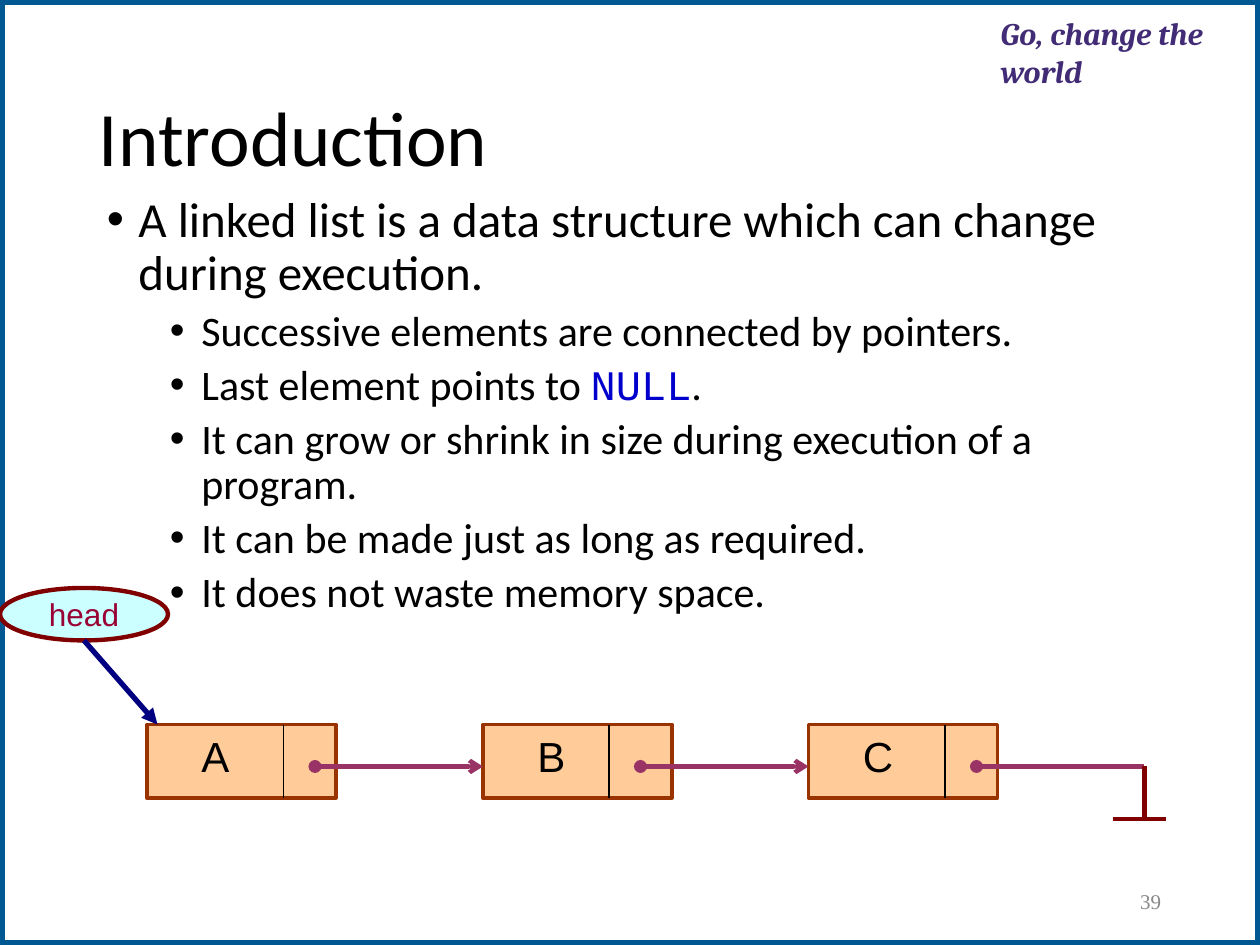
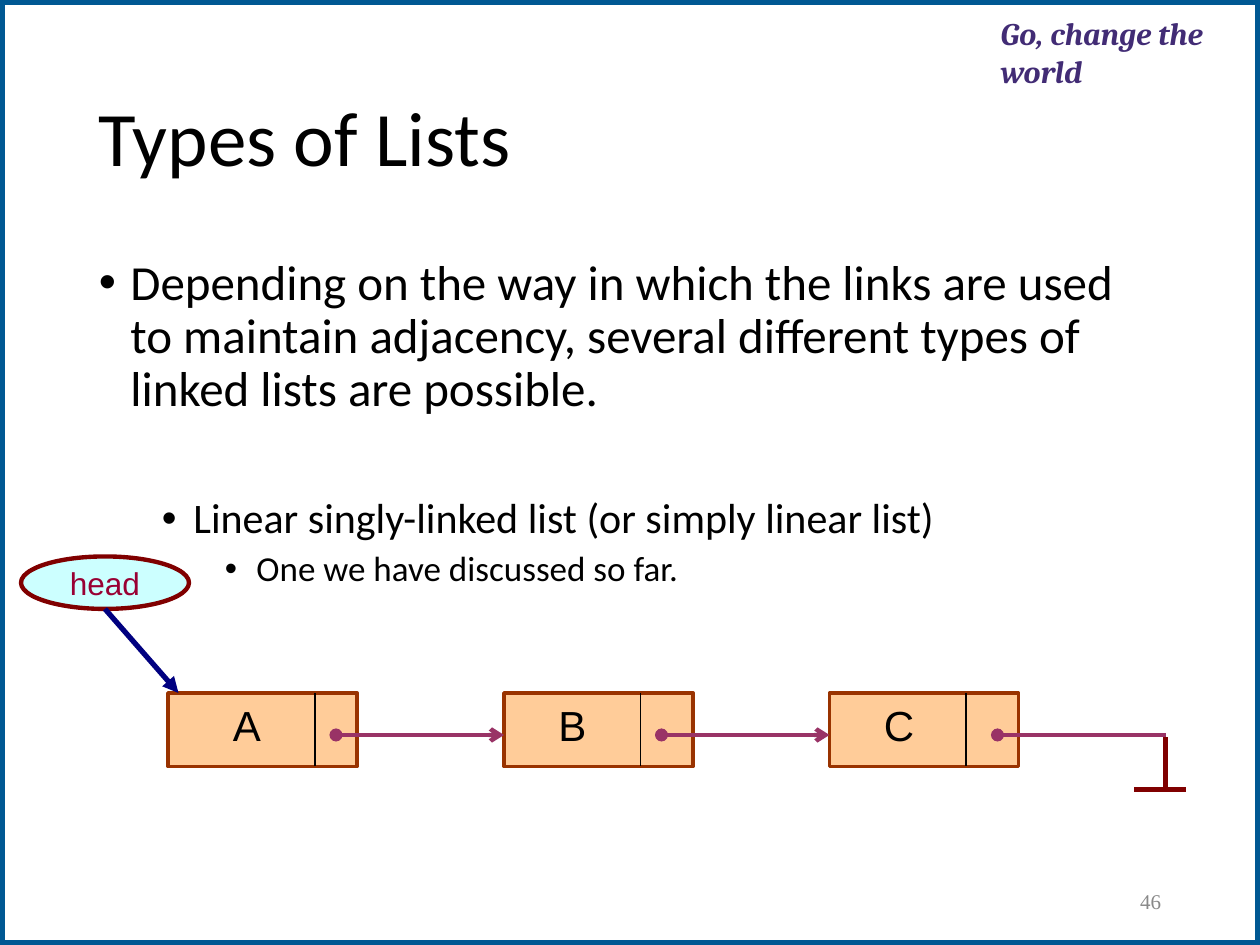
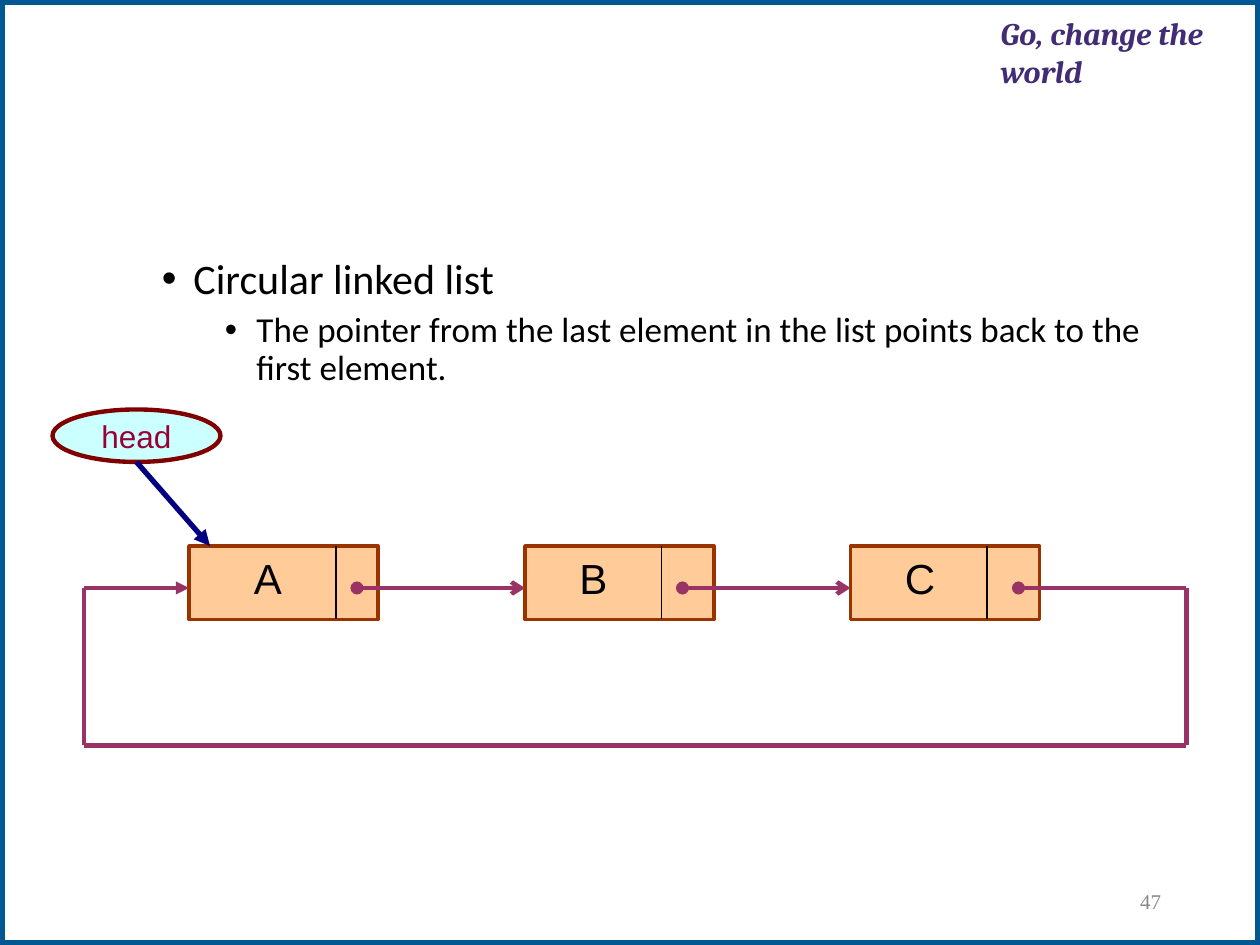
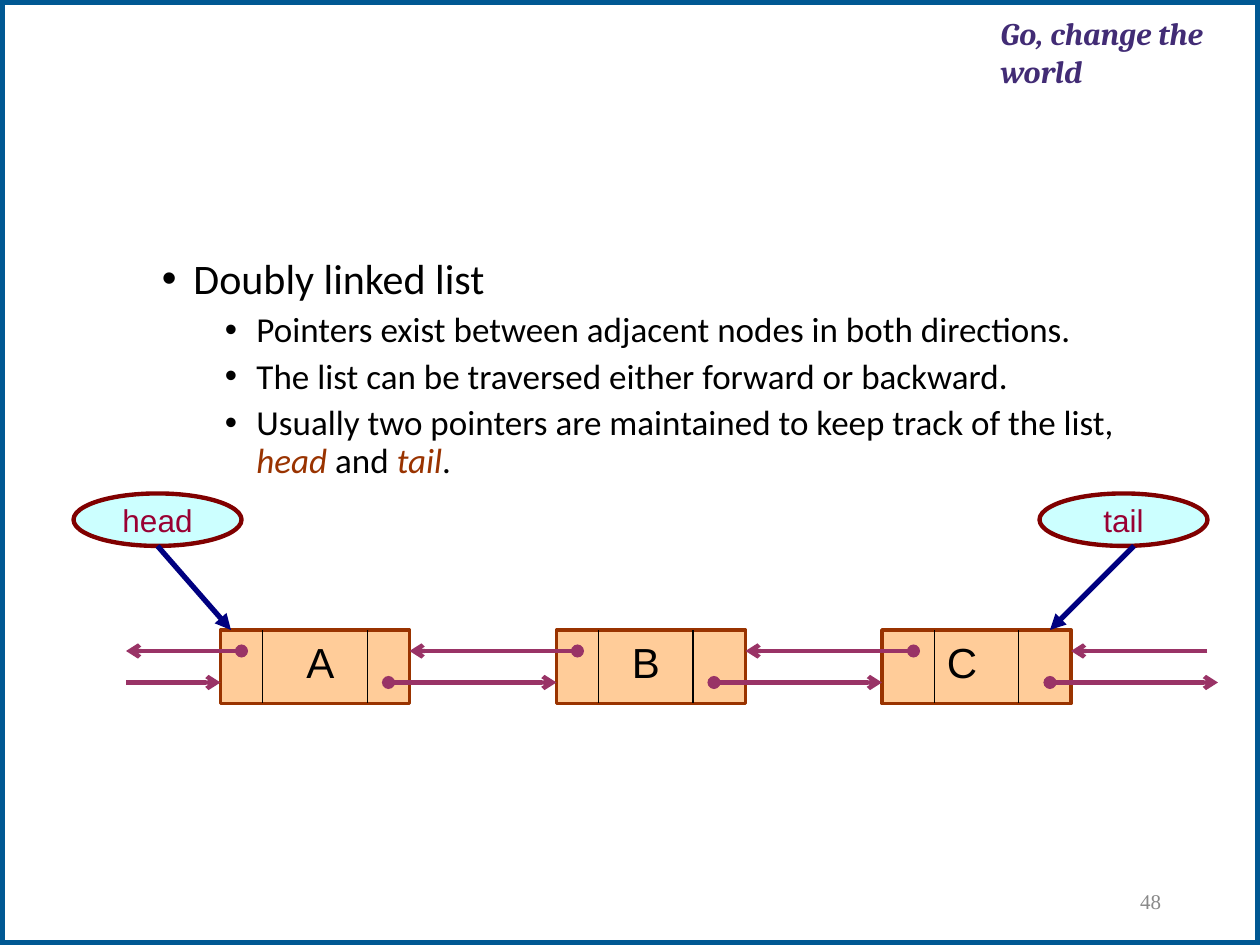
"""Build four slides on linked lists and their types."""
import pptx
import pptx.dml.color
import pptx.enum.shapes
import pptx.enum.text
import pptx.util
import lxml.etree
from pptx.oxml.ns import qn

RGB = pptx.dml.color.RGBColor
SHAPE = pptx.enum.shapes.MSO_SHAPE
ALIGN = pptx.enum.text.PP_ALIGN
ANCHOR = pptx.enum.text.MSO_ANCHOR
Pt = pptx.util.Pt

WHITE = RGB(0xFF, 0xFF, 0xFF)
BLACK = RGB(0x00, 0x00, 0x00)
FRAME = RGB(0x00, 0x58, 0x93)
TAGLINE = RGB(0x42, 0x2C, 0x75)
GREY = RGB(0x89, 0x89, 0x89)
CODE = RGB(0x00, 0x00, 0xCC)
NODE_FILL = RGB(0xFF, 0xCC, 0x99)
BROWN = RGB(0x99, 0x33, 0x00)
LINK = RGB(0x99, 0x33, 0x66)
MAROON = RGB(0x80, 0x00, 0x00)
OVAL_FILL = RGB(0xCC, 0xFF, 0xFF)
OVAL_TEXT = RGB(0x99, 0x00, 0x33)
NAVY = RGB(0x00, 0x00, 0x80)

COLS, ROWS = 120, 90
BODY = (8.25, 24, 103.5, 57.1)
LEVELS = ((28, 0.25, 10), (24, 0.75, 5), (20, 1.25, 5))
NODE_STEPS = (0, 32, 63)
LINK_STEPS = (16, 47, 79)
NODE_W, NODE_H = 18, 7
OVAL_W, OVAL_H = 16, 5


class Deck:
    """Hold the shared style and the slide being drawn on a 120 by 90 grid."""

    def __init__(self):
        self.prs = pptx.Presentation()
        self.prs.slide_width = pptx.util.Inches(10)
        self.prs.slide_height = pptx.util.Inches(7.5)
        self.s = None

    def grid(self, *values):
        units = (self.prs.slide_width / COLS, self.prs.slide_height / ROWS)
        return [pptx.util.Emu(round(v * units[i % 2])) for i, v in enumerate(values)]

    def slide(self, number, title=None):
        self.s = self.prs.slides.add_slide(self.prs.slide_layouts[6])
        self.shape(SHAPE.RECTANGLE, (0, 0, COLS, ROWS), WHITE, FRAME, 6)
        tf = self.textbox((95.3, 1.2, 24.6, 7.4))
        tf.margin_left = tf.margin_right = tf.margin_bottom = 0
        tf.margin_top = pptx.util.Inches(0.01)
        self.run(tf.paragraphs[0], "Go, change the world", 18, TAGLINE, "Cambria", True, True)
        if title:
            tf = self.textbox((8.25, 4.8, 103.5, 17.4), ANCHOR.MIDDLE)
            tf.paragraphs[0].line_spacing = 0.9
            self.run(tf.paragraphs[0], title, 44)
        tf = self.textbox((84.75, 83.4, 27, 4.8), ANCHOR.MIDDLE)
        tf.paragraphs[0].alignment = ALIGN.RIGHT
        self.run(tf.paragraphs[0], str(number), 12, GREY, "Times New Roman")

    def run(self, p, text, size, color=BLACK, font="Calibri", italic=False, bold=False):
        r = p.add_run()
        r.text = text
        r.font.size, r.font.name = Pt(size), font
        r.font.italic, r.font.bold = italic, bold
        r.font.color.rgb = color

    def textbox(self, box, anchor=ANCHOR.TOP):
        tf = self.s.shapes.add_textbox(*self.grid(*box)).text_frame
        tf.word_wrap = True
        tf.vertical_anchor = anchor
        return tf

    def bullets(self, items, box=BODY, gaps=None):
        tf = self.textbox(box)
        for i, (level, *runs) in enumerate(items):
            size, indent, before = LEVELS[level]
            p = tf.add_paragraph() if i else tf.paragraphs[0]
            p.level = level
            p.line_spacing = 0.9
            p.space_before = Pt((gaps or {}).get(i, before))
            pPr = p._p.get_or_add_pPr()
            pPr.set("marL", str(pptx.util.Inches(indent)))
            pPr.set("indent", str(-pptx.util.Inches(0.25)))
            lxml.etree.SubElement(pPr, qn("a:buFont"), typeface="Arial")
            lxml.etree.SubElement(pPr, qn("a:buChar"), char="•")
            for text, *style in runs:
                self.run(p, text, size, *style)

    def shape(self, kind, box, fill, line, width):
        sp = self.s.shapes.add_shape(kind, *self.grid(*box))
        sp.shadow.inherit = False
        sp.fill.solid()
        sp.fill.fore_color.rgb = fill
        sp.line.color.rgb = line
        sp.line.width = Pt(width)
        return sp

    def line(self, x1, y1, x2, y2, color=LINK, width=2.5, head=None, tail=None):
        c = self.s.shapes.add_connector(
            pptx.enum.shapes.MSO_CONNECTOR.STRAIGHT, *self.grid(x1, y1, x2, y2))
        c.line.color.rgb = color
        c.line.width = Pt(width)
        ln = c.line._get_or_add_ln()
        for tag, end in (("a:headEnd", head), ("a:tailEnd", tail)):
            if end:
                lxml.etree.SubElement(ln, qn(tag), type=end)
        lxml.etree.SubElement(c._element.spPr, qn("a:effectLst"))

    def oval(self, text, x, y):
        sp = self.shape(SHAPE.OVAL, (x, y, OVAL_W, OVAL_H), OVAL_FILL, MAROON, 2.5)
        tf = sp.text_frame
        tf.word_wrap = False
        tf.vertical_anchor = ANCHOR.MIDDLE
        tf.paragraphs[0].alignment = ALIGN.CENTER
        self.run(tf.paragraphs[0], text, 18, OVAL_TEXT, "Arial")

    def head(self, x, y):
        self.oval("head", x, y)
        self.line(x + 8, y + OVAL_H, x + 15, y + 13, NAVY, 3, tail="triangle")

    def nodes(self, x, y, dividers, labels, link_row=4, last_tail=None):
        for step in NODE_STEPS:
            self.shape(SHAPE.RECTANGLE, (x + step, y, NODE_W, NODE_H), NODE_FILL, BROWN, 2)
        for step, tail in zip(LINK_STEPS, ("arrow", "arrow", last_tail)):
            self.line(x + step, y + link_row, x + step + 16, y + link_row,
                      head="oval", tail=tail)
        for step in dividers:
            self.line(x + step, y, x + step, y + NODE_H, BLACK, 0.75)
        for text, step in zip("ABC", labels):
            p = self.textbox((x + step, y, 8, 6)).paragraphs[0]
            p.space_before = Pt(3)
            self.run(p, text, 24, BLACK, "Arial")

    def ground(self, x, y):
        self.line(x, y, x, y + 5, MAROON)
        self.line(x - 3, y + 5, x + 2, y + 5, MAROON)


def main():
    d = Deck()

    d.slide(39, "Introduction")
    d.bullets([
        (0, ("A linked list is a data structure which can change during execution.",)),
        (1, ("Successive elements are connected by pointers.",)),
        (1, ("Last element points to ",), ("NULL", CODE, "Courier New"), (".",)),
        (1, ("It can grow or shrink in size during execution of a program.",)),
        (1, ("It can be made just as long as required.",)),
        (1, ("It does not waste memory space.",)),
    ], (9, 18, 105, 62))
    d.nodes(14, 69, (13, 44, 76), (4, 36, 67))
    d.ground(109, 73)
    d.head(0, 56)

    d.slide(46, "Types of Lists")
    d.bullets([
        (0, ("Depending on the way in which the links are used to maintain adjacency, "
             "several different types of linked lists are possible.",)),
        (1, ("Linear singly-linked list (or simply linear list)",)),
        (2, ("One we have discussed so far.",)),
    ], gaps={1: 46})
    d.nodes(16, 66, (14, 45, 76), (5, 36, 67))
    d.ground(111, 70.2)
    d.head(2, 53)

    d.slide(47)
    d.bullets([
        (1, ("Circular linked list",)),
        (2, ("The pointer from the last element in the list points back to "
             "the first element.",)),
    ])
    d.nodes(18, 52, (14, 45, 76), (5, 36, 67))
    loop = [(113, 56), (113, 71), (8, 71), (8, 56), (18, 56)]
    for start, end in zip(loop, loop[1:]):
        d.line(*start, *end, tail="triangle" if end == loop[-1] else None)
    d.head(5, 39)

    d.slide(48)
    d.bullets([
        (1, ("Doubly linked list",)),
        (2, ("Pointers exist between adjacent nodes in both directions.",)),
        (2, ("The list can be traversed either forward or backward.",)),
        (2, ("Usually two pointers are maintained to keep track of the list, ",),
            ("head", BROWN, "Calibri", True), (" and ",),
            ("tail", BROWN, "Calibri", True), (".",)),
    ])
    d.nodes(21, 60, (14, 45, 76, 4, 36, 68), (7, 38, 68), 5, "arrow")
    d.line(12, 65, 21, 65, tail="arrow")
    for start, end in ((23, 12), (55, 39), (87, 71)):
        d.line(start, 62, end, 62, head="oval", tail="arrow")
    d.line(115, 62, 102, 62, tail="arrow")
    d.head(7, 47)
    d.oval("tail", 99, 47)
    d.line(108, 52, 100, 60, NAVY, 3, tail="triangle")

    d.prs.save("out.pptx")


if __name__ == "__main__":
    main()
